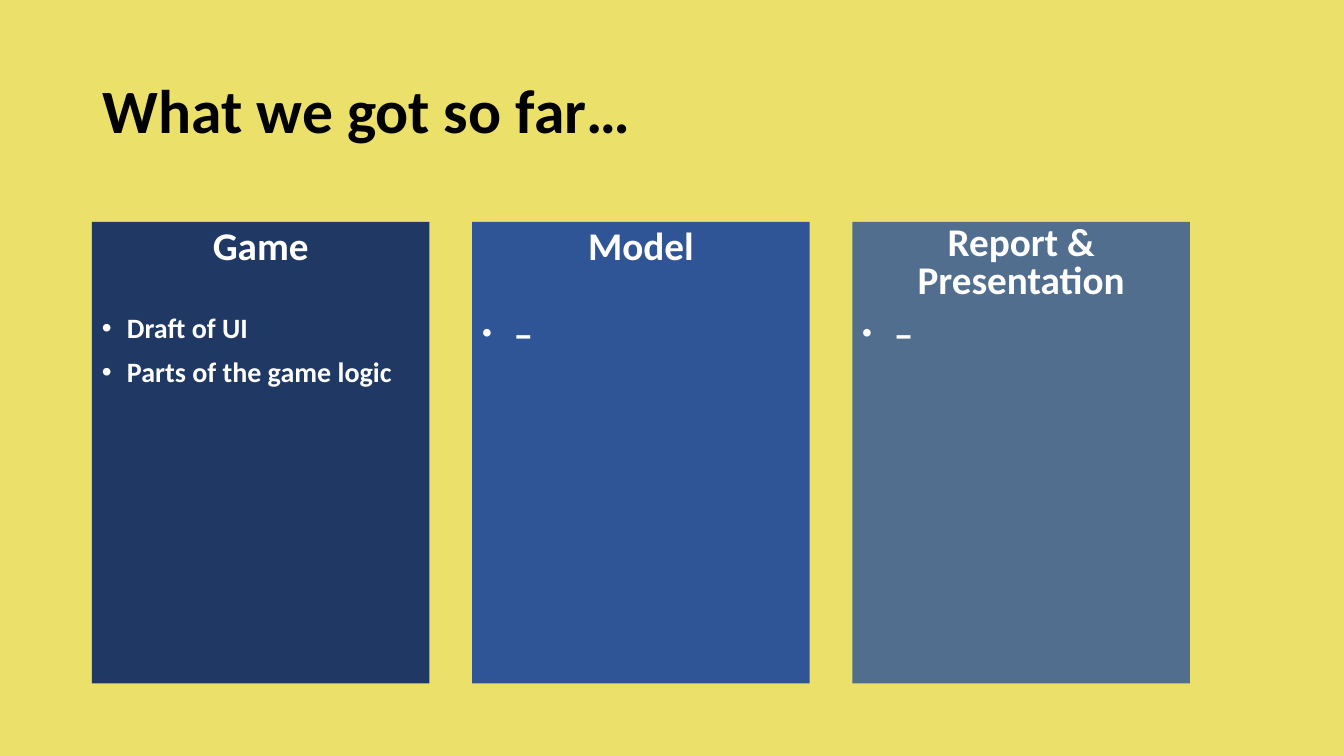
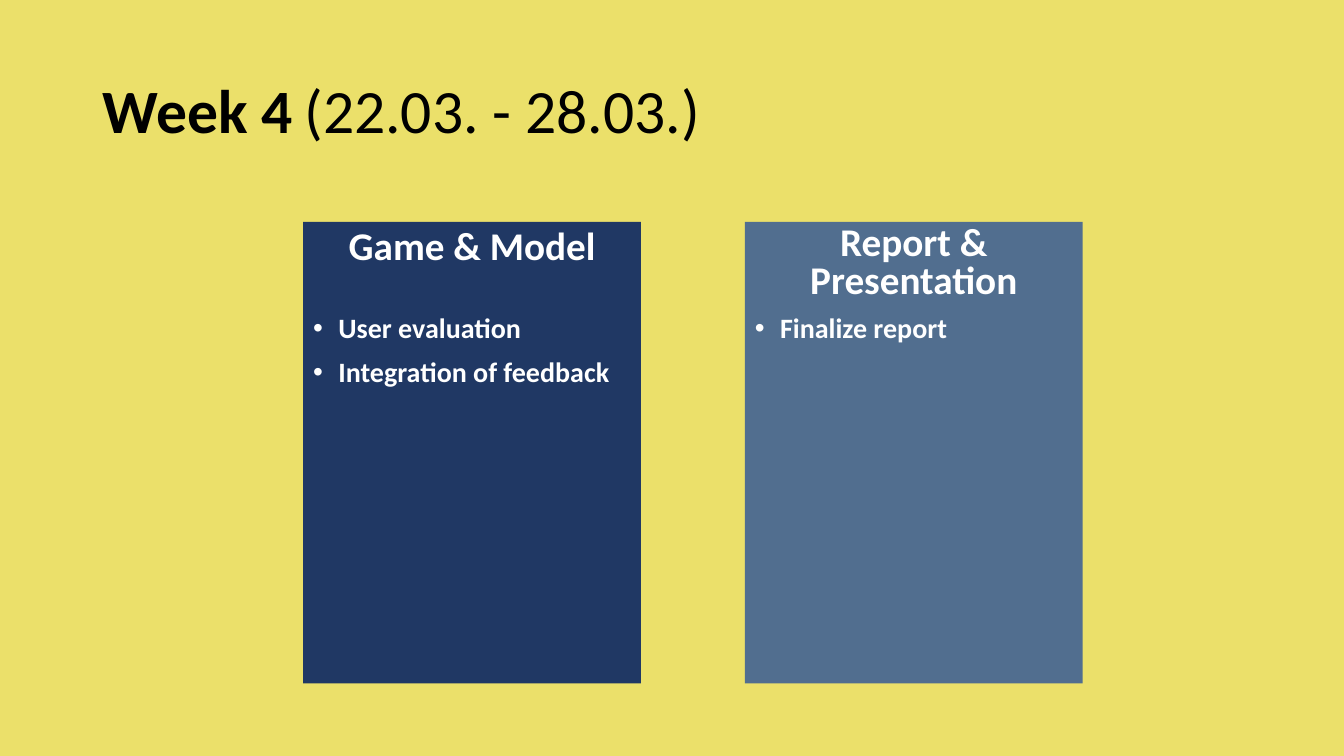
from lxml import etree
from pptx import Presentation
from pptx.dml.color import RGBColor
from pptx.enum.shapes import MSO_SHAPE
from pptx.enum.text import MSO_ANCHOR, MSO_AUTO_SIZE, PP_ALIGN
from pptx.oxml.ns import qn
from pptx.util import Pt

RECT = MSO_SHAPE.RECTANGLE
LEFT, MID = PP_ALIGN.LEFT, PP_ALIGN.CENTER
TOP, HALF = MSO_ANCHOR.TOP, MSO_ANCHOR.MIDDLE
FIXED = MSO_AUTO_SIZE.NONE

FONT = "Calibri"
HUES = {
    "sand": "EBE06A",
    "navy": "203864",
    "blue": "2F5597",
    "slate": "516E8F",
    "black": "000000",
    "white": "FFFFFF",
}
HEAD, BODY = 28, 20
CARD_Y, CARD_W, CARD_H = 158.4, 241.2, 329.8
HEAD_H = 62.6
INDENT = 18


def hue(name):
    return RGBColor.from_string(HUES[name])


class Deck:
    """Shared style and the slide being built."""

    def __init__(self):
        self.prs = Presentation()
        self.prs.slide_width, self.prs.slide_height = Pt(960), Pt(540)
        fill = self.prs.slide_master.background.fill
        fill.solid()
        fill.fore_color.rgb = hue("sand")
        self.slide = None

    def run(self, para, text, size, color="white", bold=True):
        run = para.add_run()
        run.text = text
        font = run.font
        font.name, font.size, font.bold = FONT, Pt(size), bold
        font.color.rgb = hue(color)

    def title(self, *parts):
        """Start a slide; each part is (text, bold)."""
        self.slide = self.prs.slides.add_slide(self.prs.slide_layouts[5])
        box = self.slide.shapes.title
        box.left, box.top = Pt(66.2), Pt(28.8)
        box.width, box.height = Pt(828), Pt(104.4)
        frame = box.text_frame
        frame.auto_size, frame.vertical_anchor = FIXED, HALF
        para = frame.paragraphs[0]
        para.alignment, para.line_spacing = LEFT, 0.9
        for text, bold in parts:
            self.run(para, text, 44, "black", bold)

    def panel(self, x, color):
        box = self.slide.shapes.add_shape(
            RECT, Pt(x), Pt(CARD_Y), Pt(CARD_W), Pt(CARD_H))
        box.shadow.inherit = False
        box.fill.solid()
        box.fill.fore_color.rgb = hue(color)
        box.line.fill.background()

    def text(self, x, y, height, paras, align=LEFT, space=0.9, dots=False):
        """Add a text box; each paragraph is a list of (text, size)."""
        box = self.slide.shapes.add_textbox(
            Pt(x), Pt(y), Pt(CARD_W), Pt(height))
        frame = box.text_frame
        frame.word_wrap, frame.vertical_anchor = True, TOP
        for i, runs in enumerate(paras):
            para = frame.add_paragraph() if i else frame.paragraphs[0]
            para.alignment, para.line_spacing = align, space
            para.space_before = Pt(10 if i else 0)
            if dots:
                self.bullet(para)
            for text, size in runs:
                self.run(para, text, size)

    def bullet(self, para):
        props = para._p.get_or_add_pPr()
        props.set("marL", str(Pt(INDENT)))
        props.set("indent", str(-Pt(INDENT)))
        etree.SubElement(props, qn("a:buFont")).set("typeface", "Arial")
        etree.SubElement(props, qn("a:buChar")).set("char", "•")

    def card(self, x, color, head, items, space=0.9):
        self.panel(x, color)
        self.text(x, CARD_Y, HEAD_H, [[(head, HEAD)]], MID, space)
        self.text(x, CARD_Y + HEAD_H, CARD_H - HEAD_H, items, dots=True)

    def cards(self, left, step, cards):
        for i, card in enumerate(cards):
            self.card(left + i * step, *card)


def points(*lines):
    return [[(line, BODY)] for line in lines]


def main():
    deck = Deck()
    dash = [[(" ", BODY), ("–", HEAD)]]
    report = "Report & Presentation"

    # Progress so far
    deck.title(("What we got so far…", True))
    deck.cards(65.6, 271.6, [
        ("navy", "Game", points("Draft of UI", "Parts of the game logic")),
        ("blue", "Model", dash),
        ("slate", report, dash, 0.8),
    ])

    # Plan for the week
    deck.title(("Week 4", True), ("\t(22.03. - 28.03.)", False))
    deck.cards(216.6, 315.5, [
        ("navy", "Game & Model",
         points("User evaluation", "Integration of feedback")),
        ("slate", report, points("Finalize report"), 0.8),
    ])

    deck.prs.save("out.pptx")


if __name__ == "__main__":
    main()
